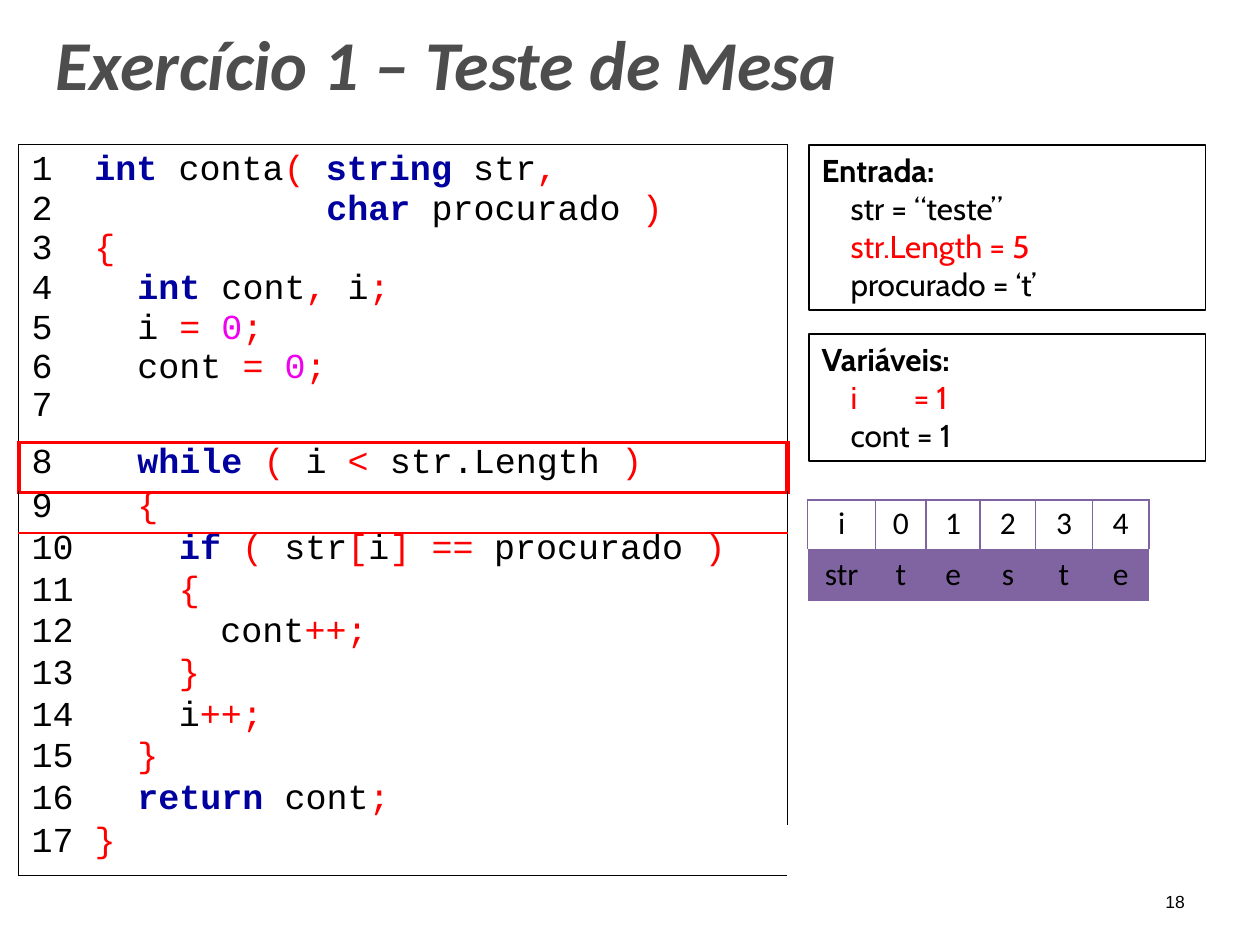
from lxml.etree import SubElement
from pptx import Presentation
from pptx.dml.color import RGBColor
from pptx.enum.shapes import MSO_SHAPE
from pptx.enum.text import MSO_ANCHOR, PP_ALIGN
from pptx.oxml.ns import qn
from pptx.util import Inches, Pt

BLACK, RED, NAVY, MAGENTA = "000000", "FF0000", "00009F", "EF00EF"
GREY, PURPLE = "4D4D4D", "8063A1"
KEYWORDS = {"int", "string", "char", "while", "if", "return"}
SIDES = {"left": "a:lnL", "right": "a:lnR", "top": "a:lnT", "bottom": "a:lnB"}


def color(hex_code):
    return RGBColor.from_string(hex_code)


def code_tokens(line):
    """Split code into words, numbers and symbols, keeping trailing blanks."""
    tokens, last = [], None
    for char in line:
        if char.isspace():
            kind = last
        elif char.isdigit():
            kind = "number"
        else:
            kind = "word" if char.isalpha() or char == "." else "symbol"
        starts_word = tokens and tokens[-1][-1].isspace() and not char.isspace()
        if kind == last and not starts_word:
            tokens[-1] += char
        else:
            tokens.append(char)
        last = kind
    return tokens


def token_style(token):
    """Return the colour and weight of a code token."""
    word = token.strip()
    if word in KEYWORDS:
        return NAVY, True
    if word.isdigit():
        return MAGENTA, False
    return (BLACK if word[0].isalpha() else RED), False


class SlideBuilder:
    def __init__(self, slide):
        self.slide = slide
        self.code_font, self.code_size = "Courier New", 20
        self.note_font, self.grid_font, self.note_size = "Cabin", "Calibri", 18

    def run(self, para, text, font, size, hex_code=BLACK, bold=False, italic=False):
        run = para.add_run()
        run.text = text
        run.font.name, run.font.size = font, Pt(size)
        run.font.bold, run.font.italic = bold, italic
        run.font.color.rgb = color(hex_code)

    def layout(self, para, indent=0, tab=None, align=PP_ALIGN.LEFT, pitch=None):
        para.alignment = align
        props = para._p.get_or_add_pPr()
        props.set("marL", str(Inches(indent)))
        props.set("indent", "0")
        if tab:
            tabs = SubElement(props, qn("a:tabLst"))
            SubElement(tabs, qn("a:tab"), pos=str(Inches(tab)), algn="l")
        if pitch:
            para.line_spacing = Pt(pitch)

    def frame(self, shape, inset_top=0):
        text = shape.text_frame
        text.margin_left = text.margin_right = text.margin_bottom = 0
        text.margin_top = Inches(inset_top)
        text.vertical_anchor, text.word_wrap = MSO_ANCHOR.TOP, True
        return text

    def title(self, text):
        title = self.slide.shapes.title
        title.left, title.top = Inches(0.43), Inches(0.13)
        title.width, title.height = Inches(6.3), Inches(0.7)
        para = self.frame(title, 0.03).paragraphs[0]
        self.layout(para, 0.01)
        self.run(para, text, "Calibri", 40, GREY, bold=True, italic=True)

    def page_number(self, number):
        box = self.slide.shapes.add_textbox(
            Inches(9.21), Inches(7.07), Inches(0.24), Inches(0.18))
        para = self.frame(box).paragraphs[0]
        self.layout(para, 0.04)
        self.run(para, number, "Arial", 10)

    def note(self, top, height, heading, lines):
        """Draw a bordered box; lines hold text, colour and tab stop."""
        box = self.slide.shapes.add_shape(
            MSO_SHAPE.RECTANGLE, Inches(6.42), Inches(top), Inches(3.15), Inches(height))
        box.shadow.inherit = False
        box.fill.background()
        box.line.color.rgb = color(BLACK)
        box.line.width = Pt(0.75)
        text = self.frame(box, 0.05)
        para = text.paragraphs[0]
        self.layout(para, 0.1)
        self.run(para, heading, self.note_font, self.note_size, bold=True)
        for content, hex_code, tab in lines:
            para = text.add_paragraph()
            self.layout(para, 0.33, tab)
            self.run(para, content, self.note_font, self.note_size, hex_code)

    def table(self, left, top, widths, heights):
        table = self.slide.shapes.add_table(
            len(heights), len(widths), Inches(left), Inches(top),
            Inches(sum(widths)), Inches(sum(heights))).table
        table.first_row = table.horz_banding = False
        for column, width in zip(table.columns, widths):
            column.width = Inches(width)
        for row, height in zip(table.rows, heights):
            row.height = Inches(height)
        return table

    def cell(self, cell, inset_top, borders, fill=None):
        """Format a cell; borders map a side to a colour and a width."""
        cell.margin_left = cell.margin_right = cell.margin_bottom = 0
        cell.margin_top = Inches(inset_top)
        props = cell._tc.get_or_add_tcPr()
        for side, tag in SIDES.items():
            hex_code, width = borders.get(side, (None, 0))
            line = SubElement(props, qn(tag), w=str(Pt(width)))
            if hex_code:
                solid = SubElement(line, qn("a:solidFill"))
                SubElement(solid, qn("a:srgbClr"), val=hex_code)
            else:
                SubElement(line, qn("a:noFill"))
        if fill:
            cell.fill.solid()
            cell.fill.fore_color.rgb = color(fill)
        else:
            cell.fill.background()
        return cell.text_frame

    def code(self, para, line):
        for token in code_tokens(line):
            hex_code, bold = token_style(token)
            self.run(para, token, self.code_font, self.code_size, hex_code, bold)

    def number(self, para, text, pitch=None):
        self.layout(para, 0.1, pitch=pitch)
        self.run(para, text, self.code_font, self.code_size)

    def listing(self, head, rows):
        """Draw numbered code: the head shares one row, later lines get their own."""
        heights = [2.36, 0.4, 0.32] + [0.33] * 6 + [0.34, 0.4]
        table = self.table(0.15, 1.15, [0.52, 5.58], heights)
        thin, marker = (BLACK, 0.75), (RED, 2.25)
        tops = {0: thin, 1: marker, 2: marker, 3: (RED, 1.75)}
        tops[len(heights)] = thin
        frames = []
        for row in range(len(heights)):
            edge = (RED, 3) if row == 1 else thin
            ends = {side: tops[line] for side, line in (("top", row), ("bottom", row + 1))
                    if line in tops}
            inset = {0: 0.05, 1: 0.02}.get(row, 0)
            frames.append([self.cell(table.cell(row, column), inset, {side: edge, **ends})
                           for column, side in enumerate(("left", "right"))])

        numbers, body = frames[0]
        for index, (indent, line) in enumerate(head):
            first = index == 0
            para = numbers.paragraphs[0] if first else numbers.add_paragraph()
            self.number(para, str(index + 1), None if line else 21.4)
            if line:
                para = body.paragraphs[0] if first else body.add_paragraph()
                self.layout(para, indent)
                self.code(para, line)

        pitches = [None, 20.4] + [21.4] * (len(rows) - 2)
        for index, ((indent, line), pitch) in enumerate(zip(rows, pitches)):
            numbers, body = frames[index + 1]
            label = str(len(head) + index + 1)
            if index == len(rows) - 1:
                table.cell(index + 1, 0).merge(table.cell(index + 1, 1))
                self.number(numbers.paragraphs[0], label + " ", pitch)
                self.code(numbers.paragraphs[0], line)
                continue
            self.number(numbers.paragraphs[0], label, pitch)
            para = body.paragraphs[0]
            tabbed = "\t" in line
            self.layout(para, indent, 2.76 if tabbed else None,
                        PP_ALIGN.CENTER if tabbed else PP_ALIGN.LEFT, pitch)
            self.code(para, line)

    def index_grid(self, rows):
        table = self.table(6.41, 3.97, [0.54, 0.4, 0.43, 0.44, 0.45, 0.45], [0.39, 0.41])
        outline = dict.fromkeys(("left", "top", "right"), (PURPLE, 1))
        styles = [(0.03, outline, None), (0.05, {}, PURPLE)]
        for row, (values, style) in enumerate(zip(rows, styles)):
            for column, value in enumerate(values):
                para = self.cell(table.cell(row, column), *style).paragraphs[0]
                para.alignment = PP_ALIGN.CENTER
                self.run(para, value, self.grid_font, self.note_size)


def main():
    deck = Presentation()
    deck.slide_width, deck.slide_height = Inches(10), Inches(7.5)
    builder = SlideBuilder(deck.slides.add_slide(deck.slide_layouts[5]))
    builder.page_number("18")
    builder.note(1.15, 1.31, "Entrada:", [
        ("str = “teste”", BLACK, None), ("str.Length = 5", RED, None),
        ("procurado = ‘t’", BLACK, None)])
    builder.title("Exercício 1 – Teste de Mesa")
    builder.listing(
        [(0.08, "int conta( string str,"), (1.92, "char procurado )"), (0.08, "{"),
         (0.42, "int cont, i;"), (0.42, "i = 0;"), (0.42, "cont = 0;"), (0, "")],
        [(0.42, "while ( i < str.Length )"), (0.42, "{"),
         (0.26, "if ( str[i] ==\tprocurado )"), (0.75, "{"), (1.08, "cont++;"),
         (0.75, "}"), (0.75, "i++;"), (0.42, "}"), (0.42, "return cont;"), (0, "}")])
    builder.index_grid(["i01234", ["str", *"teste"]])
    builder.note(2.65, 1.01, "Variáveis:", [
        ("i\t= 1", RED, 0.85), ("cont = 1", BLACK, None)])
    deck.save("out.pptx")


if __name__ == "__main__":
    main()
